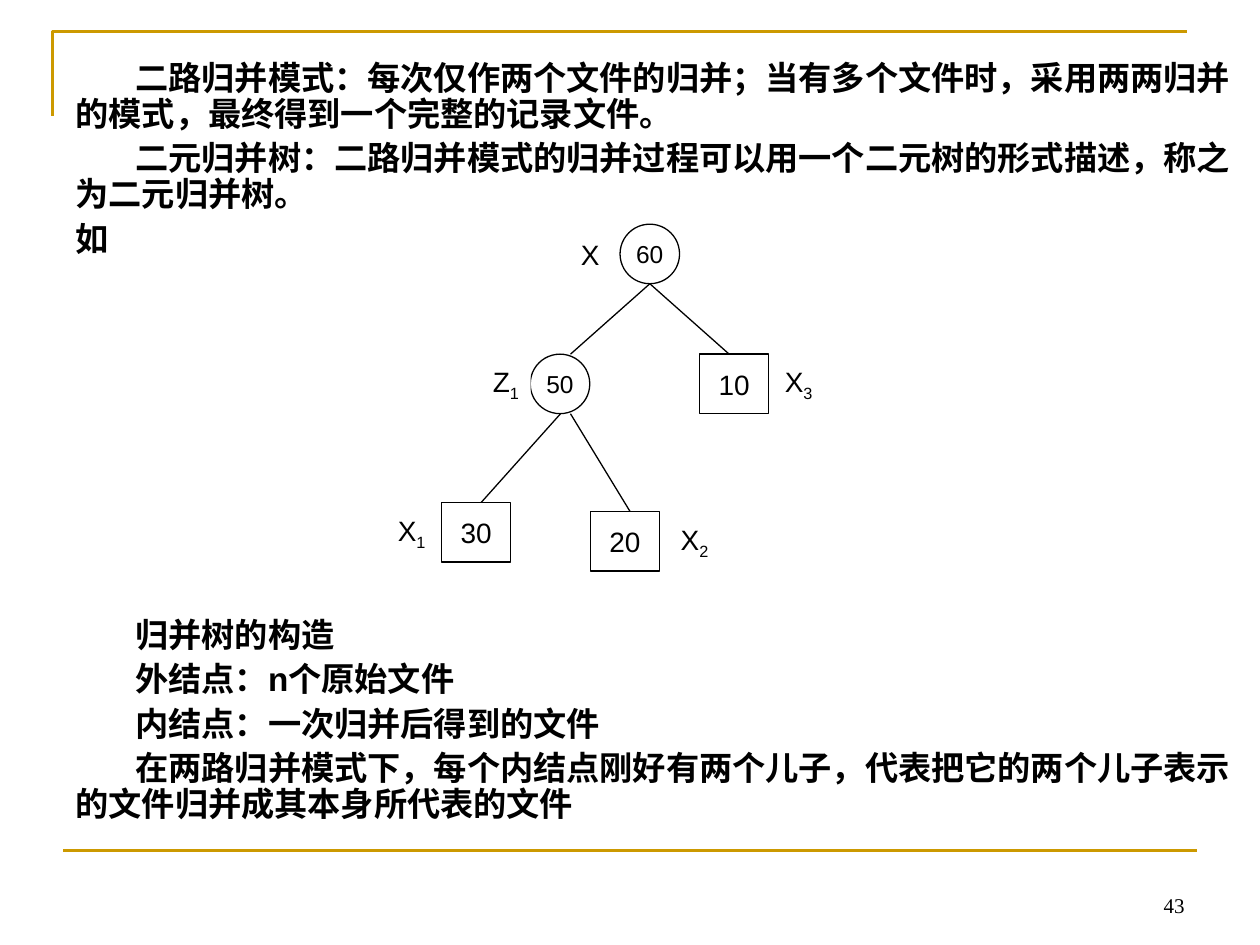
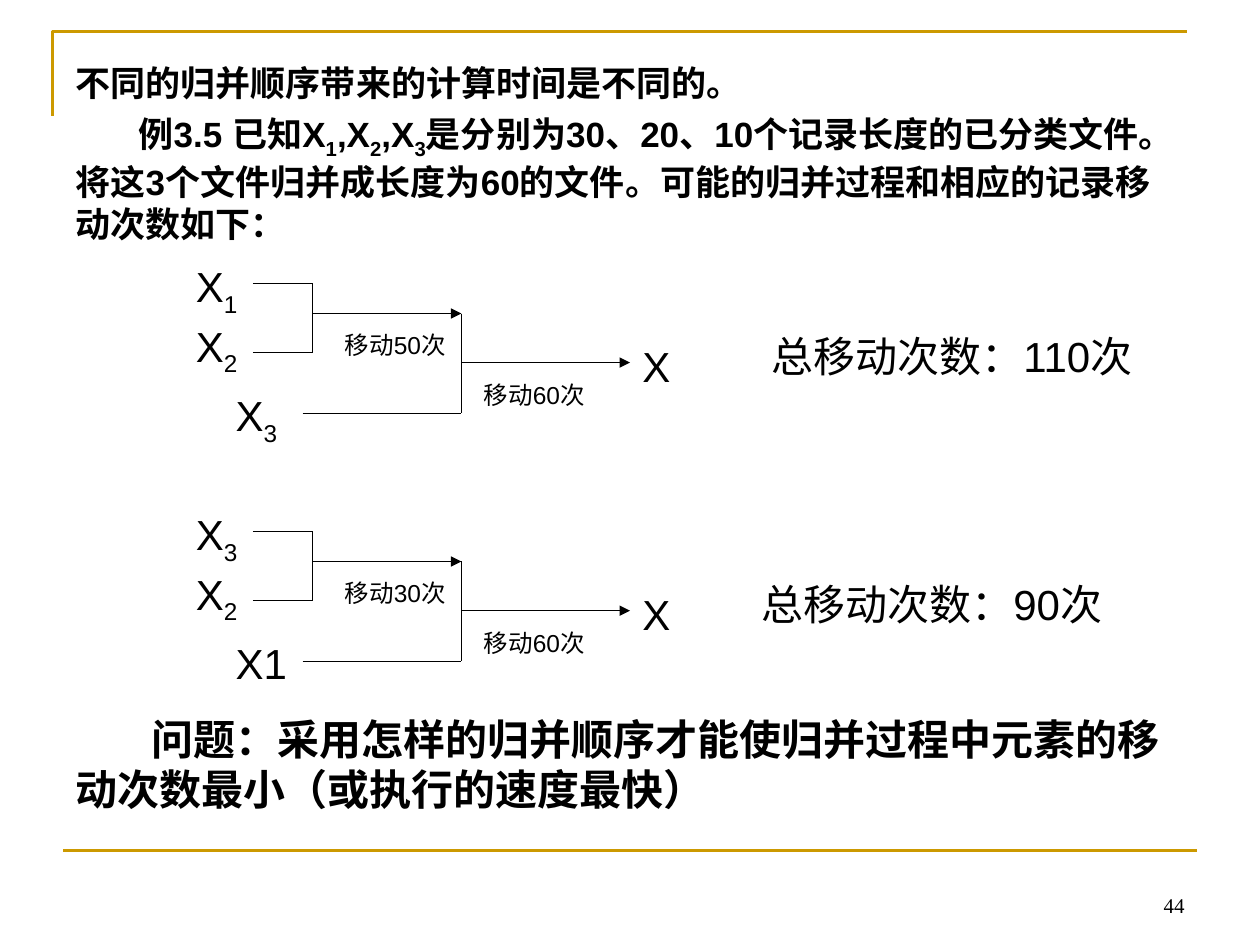
"""Builds two slides on two-way merging: the binary merge tree and the cost of merge orders."""
import pptx
import pptx.dml.color
import pptx.enum.lang
import pptx.enum.shapes
import pptx.enum.text
import pptx.oxml
import pptx.oxml.ns
import pptx.util

Cm = pptx.util.Cm
Pt = pptx.util.Pt
SHAPE = pptx.enum.shapes.MSO_SHAPE
ALIGN = pptx.enum.text.PP_ALIGN
ANCHOR = pptx.enum.text.MSO_ANCHOR
GOLD, BLACK, WHITE = "CC9900", "000000", "FFFFFF"
INDENT_PER_POINT = 1.8
NODE_HEIGHT = 1.2


def colour(hex_code):
    """Return the RGB colour for a hex string."""
    return pptx.dml.color.RGBColor.from_string(hex_code)


def add_child(parent, tag):
    """Append an empty drawing element."""
    parent.append(pptx.oxml.parse_xml(f"<a:{tag} {pptx.oxml.ns.nsdecls('a')}/>"))


def add_runs(paragraph, text, size, bold=False, font="Arial"):
    """Write the text, lowering each character that follows an underscore."""
    first, *rest = text.split("_")
    pieces = [(first, False)]
    for part in rest:
        pieces += [(part[0], True), (part[1:], False)]
    for words, lowered in pieces:
        if words:
            run = paragraph.add_run()
            run.text = words
            run.font.name, run.font.size, run.font.bold = font, Pt(size), bold
            run.font.color.rgb = colour(BLACK)
            run.font.language_id = pptx.enum.lang.MSO_LANGUAGE_ID.SIMPLIFIED_CHINESE
            if lowered:
                run._r.get_or_add_rPr().set("baseline", "-25000")


def add_line(slide, start, end, hex_code=BLACK, width=0.75, arrow=False):
    """Draw a straight line between two points in centimetres."""
    line = slide.shapes.add_connector(
        pptx.enum.shapes.MSO_CONNECTOR.STRAIGHT, *map(Cm, (*start, *end)))
    line.line.color.rgb = colour(hex_code)
    line.line.width = Pt(width)
    add_child(line._element.spPr, "effectLst")
    if arrow:
        add_child(line.line._get_or_add_ln(), "tailEnd")
        line.line._get_or_add_ln()[-1].set("type", "triangle")


def add_text(slide, left, top, width, height, text, size, font="Arial"):
    """Add a wrapping text box and return its frame."""
    frame = slide.shapes.add_textbox(*map(Cm, (left, top, width, height))).text_frame
    frame.word_wrap = True
    add_runs(frame.paragraphs[0], text, size, font=font)
    return frame


def add_frame(slide, number):
    """Draw the gold corner, the gold foot rule and the page number."""
    left, top, right, bottom = 1.06, 0.64, 23.92, 2.33
    builder = slide.shapes.build_freeform(Cm(left), Cm(bottom))
    builder.add_line_segments([(Cm(left), Cm(top)), (Cm(right), Cm(top))], close=False)
    corner = builder.convert_to_shape()
    corner.shadow.inherit = False
    corner.fill.background()
    corner.line.color.rgb = colour(GOLD)
    corner.line.width = Pt(1.5)
    add_line(slide, (1.27, 17.14), (24.13, 17.14), GOLD, 1.5)
    page = add_text(slide, 18.2, 17.36, 5.93, 1.27, str(number), 12, "Times New Roman")
    page.vertical_anchor = ANCHOR.BOTTOM
    page.paragraphs[0].alignment = ALIGN.RIGHT


def fill_body(slide, box, paragraphs, line_spacing):
    """Fill the body placeholder with (text, size, indented, space before) rows."""
    body = slide.placeholders[1]
    body.left, body.top, body.width, body.height = map(Cm, box)
    frame = body.text_frame
    frame.auto_size = pptx.enum.text.MSO_AUTO_SIZE.NONE
    for index, (text, size, indented, before) in enumerate(paragraphs):
        paragraph = frame.add_paragraph() if index else frame.paragraphs[0]
        paragraph.line_spacing = line_spacing
        paragraph.space_before = Pt(before)
        properties = paragraph._p.get_or_add_pPr()
        properties.set("marL", "0")
        properties.set("indent", str(int(Pt(size * INDENT_PER_POINT * indented))))
        add_child(properties, "buNone")
        add_runs(paragraph, text, size, bold=True)


def add_node(slide, kind, left, top, width, text, size, outlined=True):
    """Add a white tree node or node label with centred text."""
    node = slide.shapes.add_shape(kind, *map(Cm, (left, top, width, NODE_HEIGHT)))
    node.shadow.inherit = False
    node.fill.solid()
    node.fill.fore_color.rgb = colour(WHITE)
    if outlined:
        node.line.color.rgb = colour(BLACK)
        node.line.width = Pt(0.75)
    else:
        node.line.fill.background()
    frame = node.text_frame
    frame.word_wrap = False
    frame.vertical_anchor = ANCHOR.MIDDLE
    frame.paragraphs[0].alignment = ALIGN.CENTER
    add_runs(frame.paragraphs[0], text, size)


def add_merge_tree(slide, left, top):
    """Draw the binary merge tree from its top left corner."""
    middle, lower, lowest = 2.62, 5.61, 5.79
    for x, y, value in [(4.6, 0, "60"), (2.79, middle, "50")]:
        add_node(slide, SHAPE.OVAL, left + x, top + y, NODE_HEIGHT, value, 14)
    root, inner_foot = (5.2, NODE_HEIGHT), middle + NODE_HEIGHT
    edges = [((1.8, lower), (3.4, inner_foot)), ((4.8, lowest), (3.6, inner_foot)),
             ((6.8, middle), root), ((3.6, middle), root)]
    for child, parent in edges:
        add_line(slide, *[(left + x, top + y) for x, y in (child, parent)])
    for x, y, value in [(1, lower, "30"), (4, lowest, "20"), (6.2, middle, "10")]:
        add_node(slide, SHAPE.RECTANGLE, left + x, top + y, 1.4, value, 16)
    labels = [(0, lower, 0.8, "X_1"), (1.8, middle, 1, "Z_1"), (3.6, 0, 0.8, "X"),
              (7.8, middle, 0.8, "X_3"), (5.6, lowest, 1, "X_2")]
    for x, y, width, label in labels:
        add_node(slide, SHAPE.RECTANGLE, left + x, top + y, width, label, 16, False)


def add_merge_order(slide, left, top, files, moves, total, total_left):
    """Draw one merge order with its file names, move counts and total."""
    start, first_merge, second_merge, result = 1.4, 2.6, 5.6, 9
    rows = [0.58, 1.98, 3.2]
    first_out, second_out = 1.19, 2.18
    lines = [((start, rows[0]), (first_merge, rows[0]), False),
             ((start, rows[1]), (first_merge, rows[1]), False),
             ((first_merge, rows[0]), (first_merge, rows[1]), False),
             ((first_merge, first_out), (second_merge, first_out), True),
             ((2.4, rows[2]), (second_merge, rows[2]), False),
             ((second_merge, first_out), (second_merge, rows[2]), False),
             ((second_merge, second_out), (result, second_out), True)]
    for begin, end, arrow in lines:
        add_line(slide, *[(left + x, top + y) for x, y in (begin, end)], arrow=arrow)
    for x, y, name in zip((0, 0, 0.8), (0, 1.2, 2.6), files):
        add_text(slide, left + x, top + y, 1.8, 1.4, name, 24)
    add_text(slide, left + result, top + 1.6, 1, 1.27, "X", 24)
    for x, y, count in zip((3, 5.8), (1.4, 2.4), moves):
        add_text(slide, left + x, top + y, 2.6, 1.45, f"移动{count}次", 14)
    add_text(slide, left + total_left, top + 1.4, 8, 1.27, f"总移动次数：{total}次", 24)


def new_slide(deck, number):
    """Add a framed slide that keeps only its body placeholder."""
    slide = deck.slides.add_slide(deck.slide_layouts[1])
    title = slide.shapes.title._element
    title.getparent().remove(title)
    add_frame(slide, number)
    return slide


def build_tree_slide(deck):
    """Build the slide on the binary merge tree."""
    slide = new_slide(deck, 43)
    fill_body(slide, (1.27, 1.12, 24.13, 15.8), [
        ("二路归并模式：每次仅作两个文件的归并；当有多个文件时，采用两两归并的模式，最终得到一个完整的记录文件。",
         19, True, 4.8),
        ("二元归并树：二路归并模式的归并过程可以用一个二元树的形式描述，称之为二元归并树。", 19, True, 4.8),
        ("如", 19, False, 4.8),
        ("归并树的构造", 19, True, 206),
        ("外结点：n个原始文件", 19, True, 4.8),
        ("内结点：一次归并后得到的文件", 19, True, 4.8),
        ("在两路归并模式下，每个内结点刚好有两个儿子，代表把它的两个儿子表示的文件归并成其本身所代表的文件",
         19, True, 4.8),
    ], 0.9)
    add_merge_tree(slide, 7.9, 4.52)


def build_order_slide(deck):
    """Build the slide that compares two merge orders."""
    slide = new_slide(deck, 44)
    fill_body(slide, (1.27, 1.12, 22.86, 15.9), [
        ("不同的归并顺序带来的计算时间是不同的。", 20, False, 5),
        ("例3.5 已知X_1,X_2,X_3是分别为30、20、10个记录长度的已分类文件。将这3个文件归并成长度为60的文件。"
         "可能的归并过程和相应的记录移动次数如下：", 20, True, 5),
        ("问题：采用怎样的归并顺序才能使归并过程中元素的移动次数最小（或执行的速度最快）", 24, True, 268),
    ], 1.0)
    orders = [(("X_1", "X_2", "X_3"), (50, 60), 110, 11.6),
              (("X_3", "X_2", "X1"), (30, 60), 90, 11.4)]
    for index, order in enumerate(orders):
        add_merge_order(slide, 3.7, 5.13 + 5 * index, *order)


def main():
    """Build and save the deck."""
    deck = pptx.Presentation()
    deck.slide_width, deck.slide_height = Cm(25.4), Cm(19.05)
    build_tree_slide(deck)
    build_order_slide(deck)
    deck.save("out.pptx")


if __name__ == "__main__":
    main()
